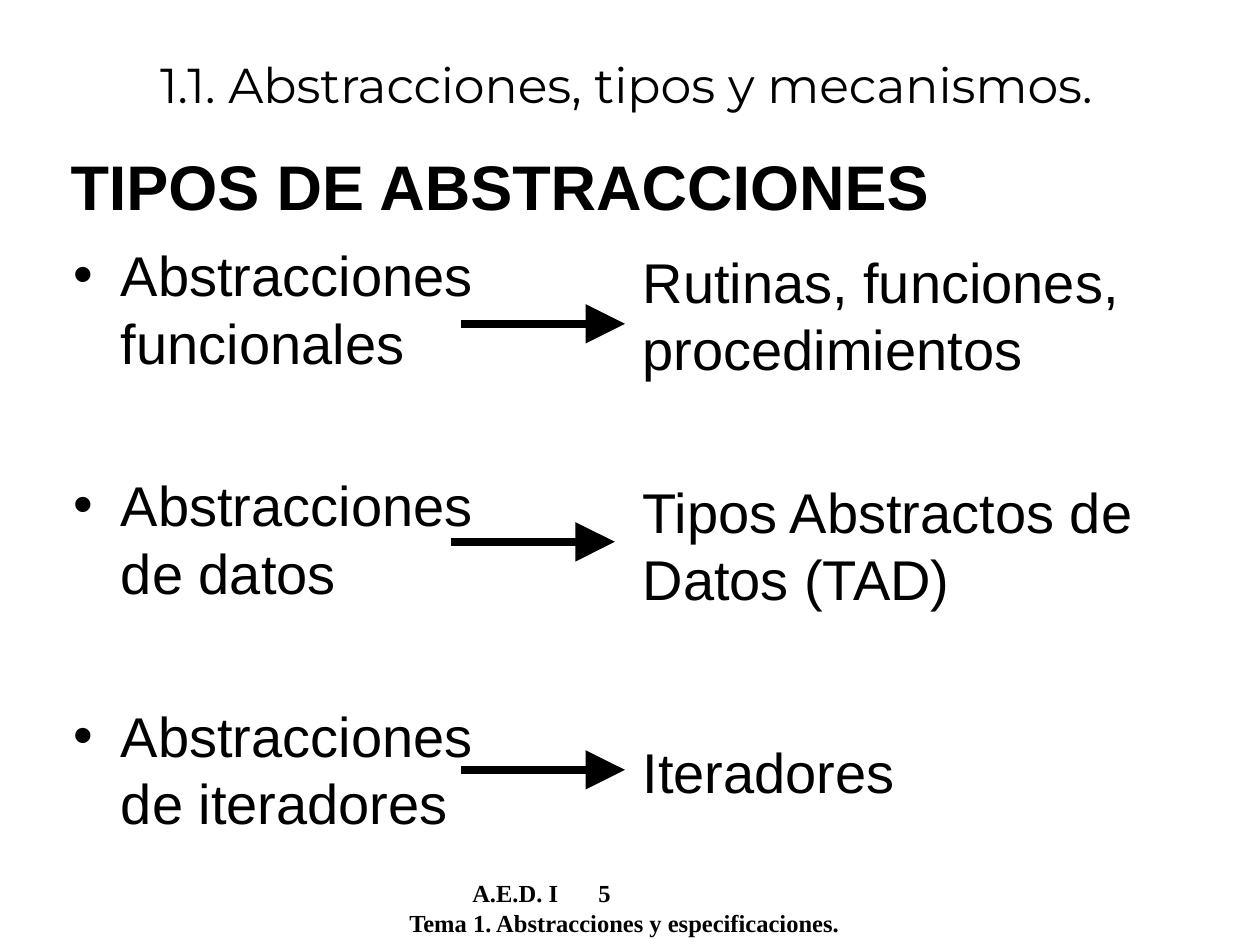
from lxml.etree import SubElement
from pptx import Presentation
from pptx.dml.color import RGBColor
from pptx.enum.shapes import MSO_CONNECTOR
from pptx.enum.text import MSO_ANCHOR as Anchor, MSO_AUTO_SIZE as AutoSize, PP_ALIGN as Align
from pptx.oxml.ns import qn
from pptx.util import Inches, Pt

BLACK = RGBColor(0, 0, 0)
COMPARISON_LAYOUT = 4
LINE_PITCH = 38.5  # points between the lines of both lists


def write(paragraph, text, font="Arial", size=32, bold=False, align=Align.LEFT,
          before=0, pitch=None, indent=0, bullet=True, tabs=()):
    """Fill one paragraph; indent and tabs are in inches, the rest in points."""
    paragraph.text = text
    paragraph.alignment = align
    paragraph.space_before = Pt(before)
    if pitch:
        paragraph.line_spacing = Pt(pitch)
    for run in paragraph.runs:
        run.font.name, run.font.size, run.font.bold = font, Pt(size), bold
        run.font.color.rgb = BLACK
    properties = paragraph._p.get_or_add_pPr()
    properties.set("marL", str(Inches(indent)))
    properties.set("indent", str(-Inches(indent)))
    if not bullet:
        SubElement(properties, qn("a:buNone"))
    if tabs:
        stops = SubElement(properties, qn("a:tabLst"))
        for stop in tabs:
            SubElement(stops, qn("a:tab"), pos=str(Inches(stop)), algn="l")


class SlideBuilder:
    def __init__(self, deck):
        self.slide = deck.slides.add_slide(deck.slide_layouts[COMPARISON_LAYOUT])

    def holder(self, index):
        return next(p for p in self.slide.placeholders
                    if p.placeholder_format.idx == index)

    def fill(self, shape, box, texts, befores=(0,), anchor=Anchor.TOP, **style):
        shape.left, shape.top, shape.width, shape.height = map(Inches, box)
        frame = shape.text_frame
        frame.word_wrap = True
        frame.auto_size = AutoSize.NONE
        frame.vertical_anchor = anchor
        for number, (text, before) in enumerate(zip(texts, befores)):
            paragraph = frame.add_paragraph() if number else frame.paragraphs[0]
            write(paragraph, text, before=before, **style)

    def placeholder(self, index, box, texts, **style):
        self.fill(self.holder(index), box, texts, **style)

    def textbox(self, box, texts, **style):
        self.fill(self.slide.shapes.add_textbox(*map(Inches, box)), box, texts, **style)

    def arrow(self, left, top, length=1.3):
        arrow = self.slide.shapes.add_connector(
            MSO_CONNECTOR.STRAIGHT, Inches(left), Inches(top),
            Inches(left + length), Inches(top))
        arrow.line.color.rgb = BLACK
        arrow.line.width = Pt(4.5)
        SubElement(arrow.line._ln, qn("a:tailEnd"), type="triangle", w="lg", len="lg")
        SubElement(arrow._element.spPr, qn("a:effectLst"))

    def remove(self, index):
        unused = self.holder(index)._element
        unused.getparent().remove(unused)


def main():
    deck = Presentation()
    deck.slide_width, deck.slide_height = Inches(10), Inches(7.5)
    page = SlideBuilder(deck)

    # Footer with the page number
    page.textbox((3.15, 6.92, 6.64, 0.42),
                 ["\tA.E.D. I\t5", "Tema 1. Abstracciones y especificaciones."],
                 befores=(0, 0), font="Times New Roman", size=14, bold=True,
                 bullet=False, tabs=(1.13, 5.38))

    # Title and heading
    page.placeholder(0, (0.22, 0.29, 9.5, 0.75),
                     ["1.1. Abstracciones, tipos y mecanismos."],
                     anchor=Anchor.MIDDLE, font="Montserrat", size=28,
                     align=Align.CENTER, bullet=False)
    page.placeholder(1, (0.46, 1.12, 9.04, 0.94), ["TIPOS DE ABSTRACCIONES"],
                     befores=(9,), size=36, bold=True, bullet=False)

    # Kinds of abstraction, and the mechanism for each
    page.placeholder(2, (0.48, 1.86, 3.89, 5.12),
                     ["Abstracciones\vfuncionales", "Abstracciones\vde datos",
                      "Abstracciones\vde iteradores"],
                     befores=(8, 54.5, 54.5), pitch=LINE_PITCH, indent=0.38)
    page.placeholder(4, (5, 1.91, 4.74, 5.12),
                     ["Rutinas, funciones,\vprocedimientos",
                      "Tipos Abstractos de\vDatos (TAD)", "Iteradores"],
                     befores=(8, 54.5, 72), pitch=LINE_PITCH, bullet=False)
    page.remove(3)

    # Arrows from kind to mechanism
    for left, top in ((3.66, 2.57), (3.58, 4.3), (3.66, 6.11)):
        page.arrow(left, top)

    deck.save("out.pptx")


if __name__ == "__main__":
    main()
